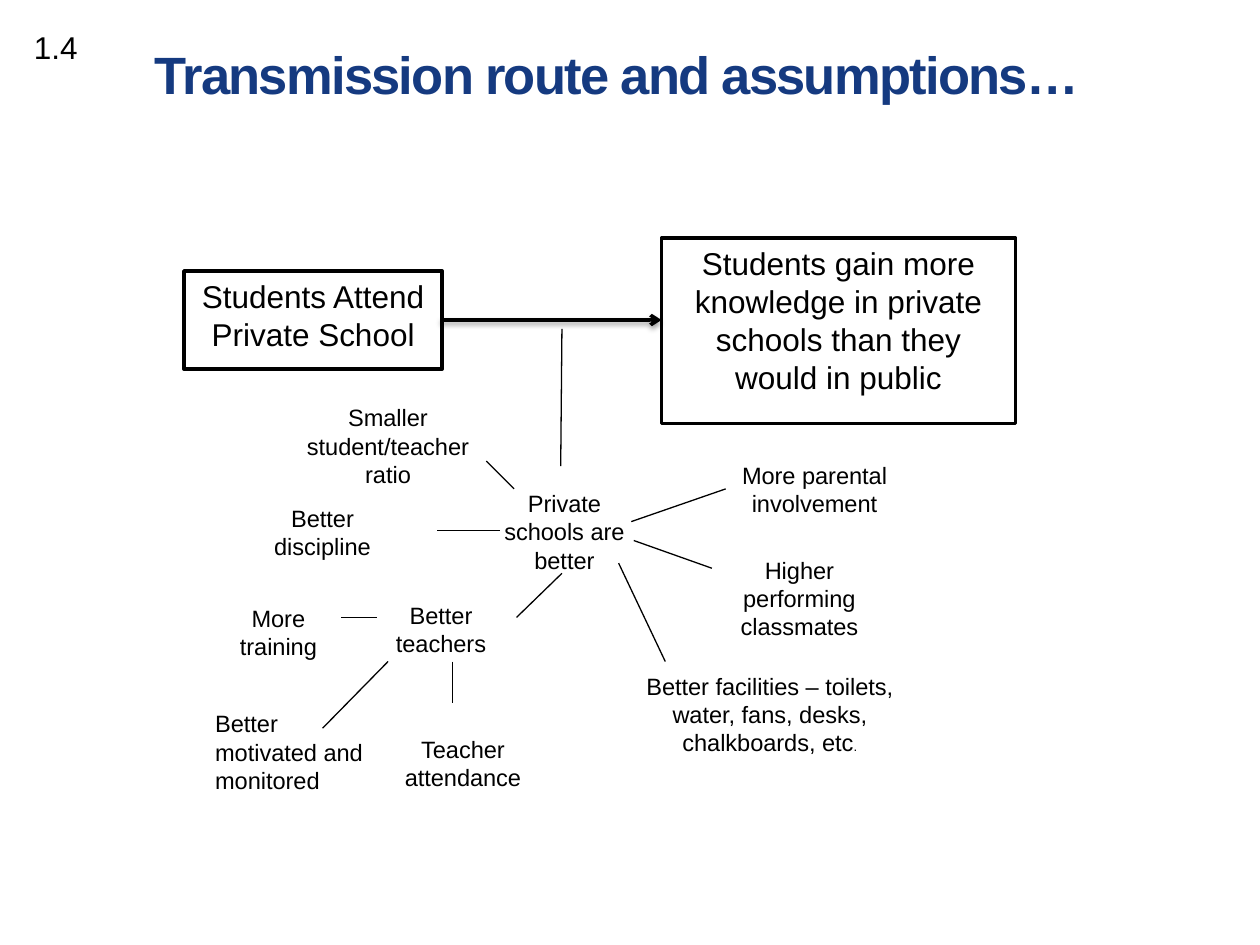
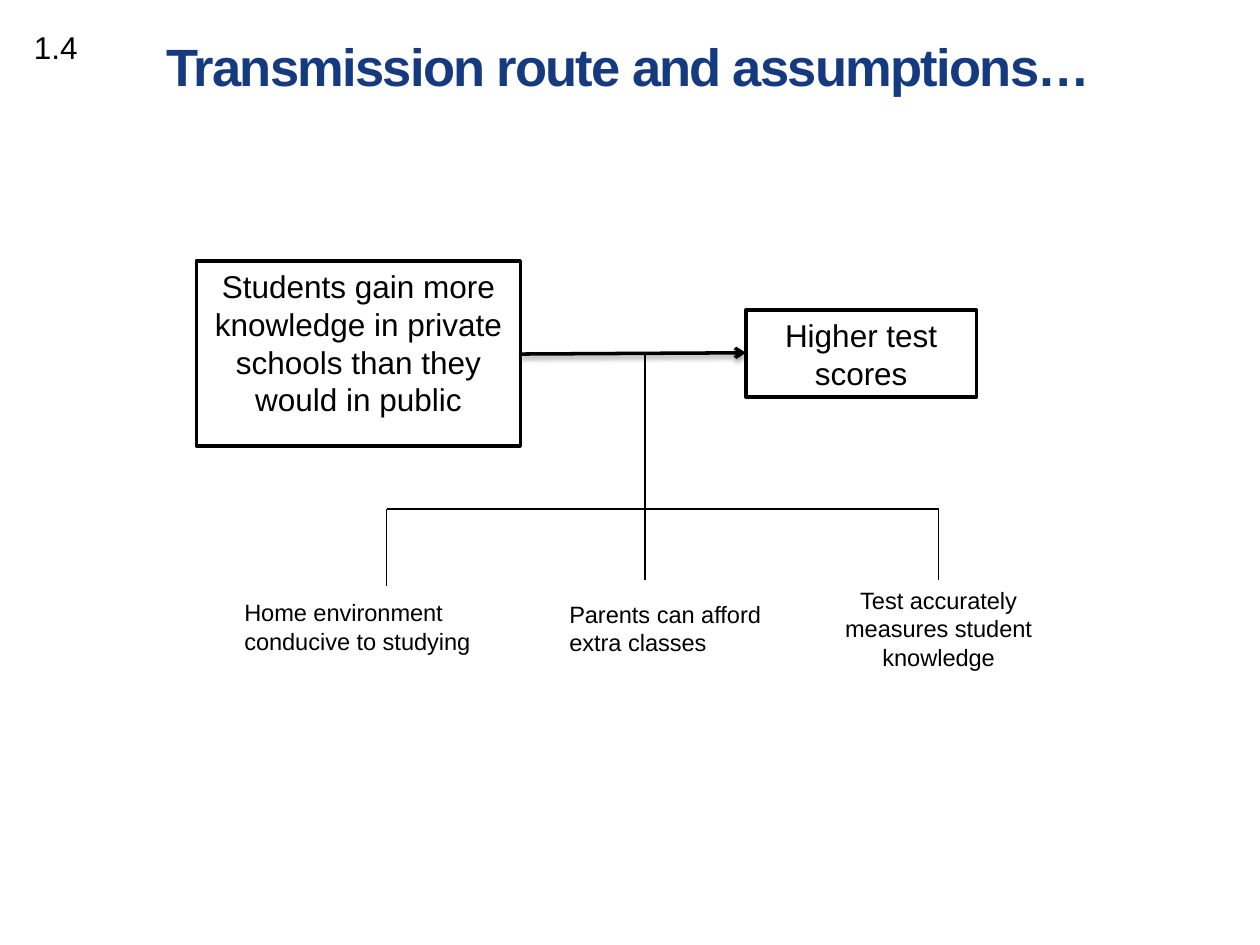
"""Build two causal-chain slides on private schooling and test scores."""
import pptx
import pptx.dml.color
import pptx.enum.shapes
import pptx.enum.text
import pptx.oxml
import pptx.oxml.ns
import pptx.util

Inches = pptx.util.Inches
Pt = pptx.util.Pt
ALIGN = pptx.enum.text.PP_ALIGN
ANCHOR = pptx.enum.text.MSO_ANCHOR
FIT = pptx.enum.text.MSO_AUTO_SIZE
COLORS = {"ink": "000000", "paper": "FFFFFF", "title": "153A80"}
GAIN = "Students gain more knowledge in private schools than they would in public"
NS = pptx.oxml.ns.nsdecls("a")
NO_EFFECT = f"<a:effectLst {NS}/>"
SHADOW = (f'<a:effectLst {NS}><a:outerShdw blurRad="{Pt(3.1)}" dist="{Pt(1.6)}" '
          'dir="5400000" rotWithShape="0"><a:srgbClr val="000000">'
          '<a:alpha val="38000"/></a:srgbClr></a:outerShdw></a:effectLst>')
ARROWHEAD = f'<a:tailEnd {NS} type="arrow"/>'


def rgb(name):
    return pptx.dml.color.RGBColor.from_string(COLORS[name])


class Deck:
    """Hold the shared style and the current slide."""

    def __init__(self):
        self.prs = pptx.Presentation()
        self.prs.slide_width, self.prs.slide_height = Inches(10), Inches(7.5)

    def new_slide(self, title, number, left, top):
        self.slide = self.prs.slides.add_slide(self.prs.slide_layouts[5])
        sp = self.slide.shapes.title
        place = {"left": left, "top": top, "width": 8.19, "height": 0.62}
        for name, value in place.items():
            setattr(sp, name, Inches(value))
        r = self.fill_text(sp, title, 30, ALIGN.LEFT, "title", True,
                           vertical_anchor=ANCHOR.MIDDLE, auto_size=FIT.NONE,
                           margin_left=Inches(0.07), margin_right=Inches(0.07),
                           margin_top=Inches(0.04), margin_bottom=Inches(0.04))
        r._r.get_or_add_rPr().set("spc", "-100")
        self.label(number, 0.17, 0.17, 0.65, 0.4, ALIGN.LEFT, 18)

    def fill_text(self, sp, text, size, align, color="ink", bold=False, **frame):
        tf = sp.text_frame
        for name, value in {"word_wrap": True, **frame}.items():
            setattr(tf, name, value)
        p = tf.paragraphs[0]
        p.alignment = align
        return self.text_run(p, text, size, color, bold)

    def text_run(self, p, text, size, color="ink", bold=False):
        r = p.add_run()
        r.text = text
        style = {"name": "Arial", "size": Pt(size), "bold": bold}
        for name, value in style.items():
            setattr(r.font, name, value)
        r.font.color.rgb = rgb(color)
        return r

    def box(self, text, x, y, w, h):
        sp = self.slide.shapes.add_shape(
            pptx.enum.shapes.MSO_SHAPE.RECTANGLE, *map(Inches, (x, y, w, h)))
        sp.shadow.inherit = False
        sp.fill.solid()
        sp.fill.fore_color.rgb = rgb("paper")
        sp.line.color.rgb = rgb("ink")
        sp.line.width = Pt(2)
        self.fill_text(sp, text, 18, ALIGN.CENTER, vertical_anchor=ANCHOR.TOP)

    def label(self, text, x, y, w, h, align=ALIGN.CENTER, size=13.5):
        sp = self.slide.shapes.add_textbox(*map(Inches, (x, y, w, h)))
        self.fill_text(sp, text, size, align, auto_size=FIT.SHAPE_TO_FIT_TEXT)
        return sp

    def line(self, x1, y1, x2, y2, width=0.75, effect=NO_EFFECT):
        sp = self.slide.shapes.add_connector(
            pptx.enum.shapes.MSO_CONNECTOR.STRAIGHT, *map(Inches, (x1, y1, x2, y2)))
        sp.line.color.rgb = rgb("ink")
        sp.line.width = Pt(width)
        sp._element.spPr.append(pptx.oxml.parse_xml(effect))
        return sp

    def arrow(self, x1, y1, x2, y2):
        sp = self.line(x1, y1, x2, y2, 2, SHADOW)
        sp._element.spPr.ln.append(pptx.oxml.parse_xml(ARROWHEAD))


def school_slide(deck):
    deck.new_slide("Transmission route and assumptions…", "1.4", 1.16, 0.27)
    deck.box(GAIN, 5.25, 1.89, 2.81, 1.47)
    deck.box("Students Attend Private School", 1.46, 2.15, 2.05, 0.78)
    deck.arrow(3.5, 2.54, 5.25, 2.54)
    links = [
        (4.46, 2.61, 4.45, 3.7), (3.47, 4.21, 3.97, 4.21),
        (4.91, 4.47, 5.28, 5.25), (4.46, 4.55, 4.1, 4.9),
        (3.86, 3.66, 4.08, 3.88), (5.03, 4.29, 5.65, 4.51),
        (5.76, 3.88, 5.01, 4.14), (2.99, 4.9, 2.71, 4.9),
        (3.59, 5.25, 3.59, 5.58), (3.08, 5.25, 2.56, 5.78),
    ]
    for link in links:
        deck.line(*link)
    reasons = [
        ("Better discipline", 1.86, 3.95, 1.4, 0.56),
        ("Private schools are better", 3.86, 3.83, 1.24, 0.78),
        ("Smaller student/teacher ratio", 2.15, 3.15, 1.86, 0.78),
        ("Better teachers", 2.99, 4.72, 1.02, 0.56),
        ("More training", 1.61, 4.74, 1.2, 0.56),
        ("Teacher attendance", 3.01, 5.78, 1.33, 0.56),
        ("Higher performing classmates", 5.63, 4.36, 1.43, 0.78),
        ("More parental involvement", 5.58, 3.61, 1.77, 0.56),
        ("Better motivated and monitored", 1.61, 5.58, 1.47, 0.78, ALIGN.LEFT),
    ]
    for reason in reasons:
        deck.label(*reason)
    facilities = deck.label("Better facilities – toilets, water, fans, desks, chalkboards, etc",
                            5.02, 5.28, 2.18, 0.78)
    deck.text_run(facilities.text_frame.paragraphs[0], ".", 7.5)


def scores_slide(deck):
    deck.new_slide("Transmission route and assumptions…", "1.4", 1.25, 0.21)
    deck.box("Higher test scores", 5.92, 2.46, 1.83, 0.69)
    deck.box(GAIN, 1.56, 2.07, 2.57, 1.47)
    deck.arrow(4.13, 2.81, 5.92, 2.8)
    left, middle, right, branch = 3.07, 5.12, 7.45, 4.04
    deck.line(left, branch, right, branch)
    for x, top, bottom in [(left, branch, 4.65), (middle, 2.81, 4.6), (right, branch, 4.6)]:
        deck.line(x, top, x, bottom)
    deck.label("Home environment conducive to studying", 1.84, 4.7, 2.02, 0.56, ALIGN.LEFT)
    deck.label("Parents can afford extra classes", 4.42, 4.71, 1.83, 0.56, ALIGN.LEFT)
    deck.label("Test accurately measures student knowledge", 6.57, 4.6, 1.76, 0.78)


def main():
    deck = Deck()
    school_slide(deck)
    scores_slide(deck)
    deck.prs.save("out.pptx")


if __name__ == "__main__":
    main()
